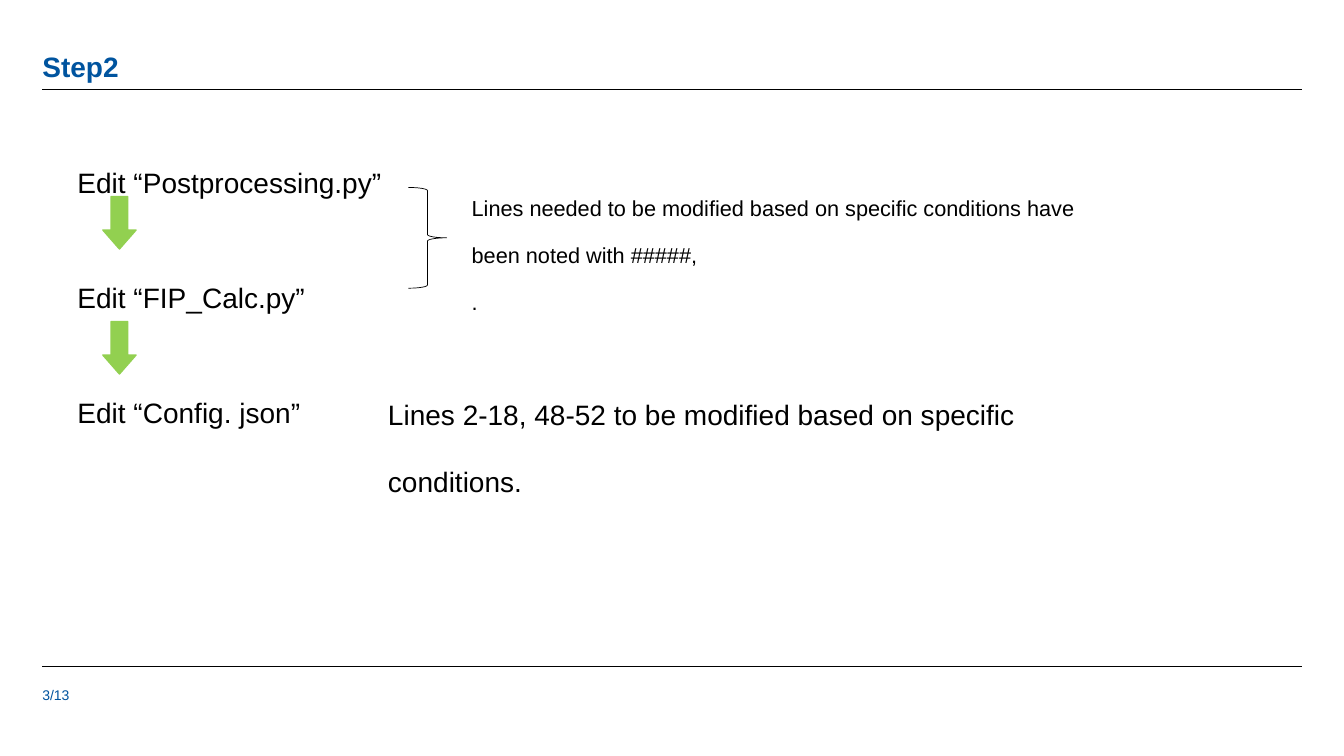
from dataclasses import dataclass

from lxml.etree import SubElement
from pptx import Presentation
from pptx.dml.color import RGBColor
from pptx.enum.shapes import MSO_CONNECTOR, MSO_SHAPE
from pptx.enum.text import MSO_ANCHOR, MSO_AUTO_SIZE, PP_ALIGN
from pptx.oxml.ns import qn
from pptx.util import Pt

SCALE = 9144  # EMU in one px, 100 px to the inch


@dataclass(frozen=True)
class Theme:
    font: str = "Arial"
    blue: RGBColor = RGBColor(0x00, 0x54, 0x9F)
    black: RGBColor = RGBColor(0, 0, 0)
    green: RGBColor = RGBColor(0x92, 0xD0, 0x50)
    large: float = 20
    note: float = 15.5
    small: float = 10
    hair: float = 0.5


THEME = Theme()


def px(*sizes):
    return [size * SCALE for size in sizes]


def fill_text(frame, lines, size, color, space=1.0, bold=False):
    frame.word_wrap = True
    frame.auto_size = MSO_AUTO_SIZE.NONE
    for row, line in enumerate(lines):
        para = frame.add_paragraph() if row else frame.paragraphs[0]
        para.alignment = PP_ALIGN.LEFT
        para.line_spacing = space
        run = para.add_run()
        run.text = line
        run.font.name = THEME.font
        run.font.size = Pt(size)
        run.font.bold = bold
        run.font.color.rgb = color


def clear_inset(frame):
    frame.margin_left = frame.margin_right = 0
    frame.margin_top = frame.margin_bottom = 0


def add_text(slide, box, lines, size=THEME.large, space=2.0, color=THEME.black):
    frame = slide.shapes.add_textbox(*px(*box)).text_frame
    fill_text(frame, lines, size, color, space)
    return frame


def add_rule(slide, left, top, width):
    rule = slide.shapes.add_connector(
        MSO_CONNECTOR.STRAIGHT, *px(left, top, left + width, top))
    rule.line.color.rgb = THEME.black
    rule.line.width = Pt(THEME.hair)
    SubElement(rule._element.spPr, qn("a:effectLst"))


def add_shape(slide, kind, box, color, width):
    shape = slide.shapes.add_shape(kind, *px(*box))
    shape.shadow.inherit = False
    shape.line.color.rgb = color
    shape.line.width = Pt(width)
    return shape


def add_head(slide, left, top, width, height):
    title = slide.shapes.title
    title.left, title.top, title.width, title.height = px(
        left, top, width, height)
    frame = title.text_frame
    clear_inset(frame)
    frame.vertical_anchor = MSO_ANCHOR.BOTTOM
    fill_text(frame, ["Step2"], THEME.large, THEME.blue, 0.9, True)
    add_rule(slide, left, top + height + 6, width)


def add_foot(slide, left, top, width):
    add_rule(slide, left, top, width)
    frame = add_text(slide, (left, top + 20, 126, 34), ["3/13"],
                     THEME.small, 1.0, THEME.blue)
    clear_inset(frame)


def add_steps(slide, left, top, width):
    """Stack the files to edit, with a down arrow between neighbours."""
    names = ["Postprocessing.py", "FIP_Calc.py", "Config. json"]
    for row, name in enumerate(names):
        add_text(slide, (left, top + row * 114, width, 67),
                 [f"Edit “{name}”"])
    for row in range(len(names) - 1):
        box = (left + 35, top + 69 + row * 124, 33, 52)
        arrow = add_shape(slide, MSO_SHAPE.DOWN_ARROW, box, THEME.green, 1)
        arrow.fill.solid()
        arrow.fill.fore_color.rgb = THEME.green
        arrow.adjustments[0] = 0.5
        arrow.adjustments[1] = 0.57


def add_notes(slide, left, top):
    """Explain the first two files beside a brace, then the third."""
    brace = add_shape(slide, MSO_SHAPE.RIGHT_BRACE,
                      (left + 30, top + 18, 38, 100), THEME.black, THEME.hair)
    brace.fill.background()
    add_text(slide, (left + 83, top, 668, 150),
             ["Lines needed to be modified based on specific conditions "
              "have been noted with #####,", "."], THEME.note, 1.8)
    add_text(slide, (left, top + 188, 780, 67),
             ["Lines 2-18, 48-52 to be modified based on specific conditions."])


def main():
    deck = Presentation()
    deck.slide_width, deck.slide_height = px(1333, 750)
    slide = deck.slides.add_slide(deck.slide_layouts[5])
    add_head(slide, 42, 24, 1249, 59)
    add_steps(slide, 67, 126, 637)
    add_notes(slide, 375, 168)
    add_foot(slide, 42, 661, 1249)
    deck.save("out.pptx")


if __name__ == "__main__":
    main()
